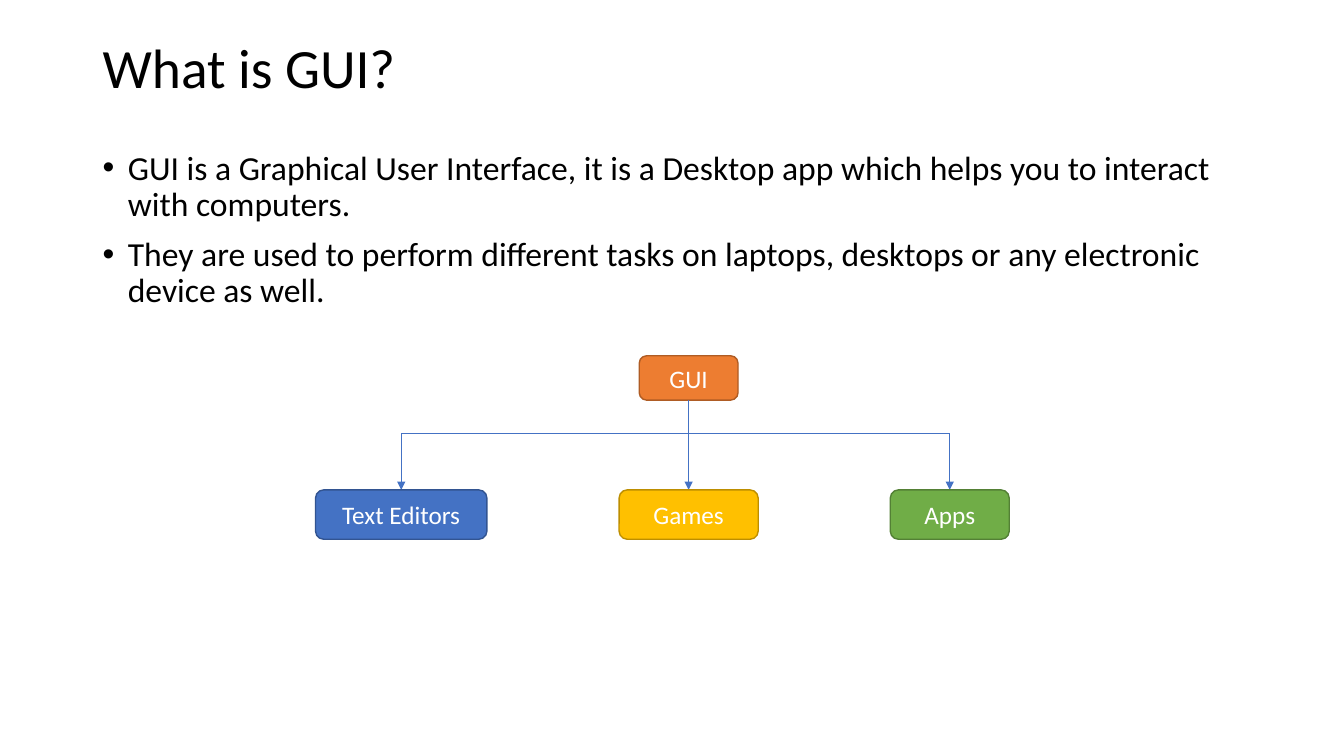
from lxml import etree
from pptx import Presentation
from pptx.dml.color import RGBColor
from pptx.enum.shapes import MSO_CONNECTOR, MSO_SHAPE
from pptx.enum.text import MSO_ANCHOR, PP_ALIGN
from pptx.oxml.ns import qn
from pptx.util import Inches, Pt

ROUNDED = MSO_SHAPE.ROUNDED_RECTANGLE
STRAIGHT = MSO_CONNECTOR.STRAIGHT
MIDDLE, TOP = MSO_ANCHOR.MIDDLE, MSO_ANCHOR.TOP
CENTER = PP_ALIGN.CENTER

TITLE = "What is GUI?"
POINTS = [
    "GUI is a Graphical User Interface, it is a Desktop app which helps you to interact with computers.",
    "They are used to perform different tasks on laptops, desktops or any electronic device as well.",
]
ROOT = ("GUI", 6.83, 0.98, "orange")
BRANCHES = [
    ("Text Editors", 3.98, 1.7, "blue"),
    ("Games", 6.83, 1.38, "gold"),
    ("Apps", 9.42, 1.18, "green"),
]
COLOURS = {
    "text": "000000", "label": "FFFFFF",
    "orange": "ED7D31", "orange edge": "AF5C24",
    "blue": "4472C4", "blue edge": "325491",
    "gold": "FFC000", "gold edge": "BD8E00",
    "green": "70AD47", "green edge": "538035",
}
FONT = "Calibri"
MARGIN, TEXT_WIDTH = 0.92, 11.5
ROOT_TOP, ROOT_HEIGHT = 3.53, 0.44
BRANCH_TOP, BRANCH_HEIGHT = 4.86, 0.49
RAIL_Y = 4.3

prs = Presentation()
prs.slide_width, prs.slide_height = Inches(13.33), Inches(7.5)
slide = prs.slides.add_slide(prs.slide_layouts[6])


def colour(name):
    return RGBColor.from_string(COLOURS[name])


def style(paragraph, size, name):
    for run in paragraph.runs:
        run.font.size = Pt(size)
        run.font.name = FONT
        run.font.color.rgb = colour(name)


def add_text(top, height, lines, size, anchor, bulleted=False):
    frame = slide.shapes.add_textbox(
        Inches(MARGIN), Inches(top), Inches(TEXT_WIDTH), Inches(height)).text_frame
    frame.word_wrap = True
    frame.vertical_anchor = anchor
    frame.text = "\n".join(lines)
    for index, paragraph in enumerate(frame.paragraphs):
        paragraph.line_spacing = 0.9
        if index:
            paragraph.space_before = Pt(10)
        if bulleted:
            props = paragraph._p.get_or_add_pPr()
            props.set("marL", str(Inches(0.25)))
            props.set("indent", str(Inches(-0.25)))
            etree.SubElement(props, qn("a:buFont")).set("typeface", "Arial")
            etree.SubElement(props, qn("a:buChar")).set("char", "•")
        style(paragraph, size, "text")


def add_node(node, top, height):
    label, center, width, name = node
    box = slide.shapes.add_shape(
        ROUNDED, Inches(center - width / 2), Inches(top), Inches(width), Inches(height))
    box.shadow.inherit = False
    box.fill.solid()
    box.fill.fore_color.rgb = colour(name)
    box.line.color.rgb = colour(name + " edge")
    box.line.width = Pt(1)
    frame = box.text_frame
    frame.text = label
    frame.vertical_anchor = MIDDLE
    frame.paragraphs[0].alignment = CENTER
    style(frame.paragraphs[0], 18, "label")


def add_line(x1, y1, x2, y2, arrow=False):
    connector = slide.shapes.add_connector(
        STRAIGHT, Inches(x1), Inches(y1), Inches(x2), Inches(y2))
    connector.line.color.rgb = colour("blue")
    connector.line.width = Pt(0.5)
    if arrow:
        outline = connector.line._get_or_add_ln()
        etree.SubElement(outline, qn("a:tailEnd")).set("type", "triangle")
    etree.SubElement(connector._element.spPr, qn("a:effectLst"))


add_text(0.4, 0.59, [TITLE], 39.6, MIDDLE)
add_text(1.45, 1.74, POINTS, 24, TOP, bulleted=True)

add_node(ROOT, ROOT_TOP, ROOT_HEIGHT)
add_line(BRANCHES[0][1], RAIL_Y, BRANCHES[-1][1], RAIL_Y)
for branch in BRANCHES:
    center = branch[1]
    start = ROOT_TOP + ROOT_HEIGHT if center == ROOT[1] else RAIL_Y
    add_line(center, start, center, BRANCH_TOP, arrow=True)
    add_node(branch, BRANCH_TOP, BRANCH_HEIGHT)

prs.save("out.pptx")
